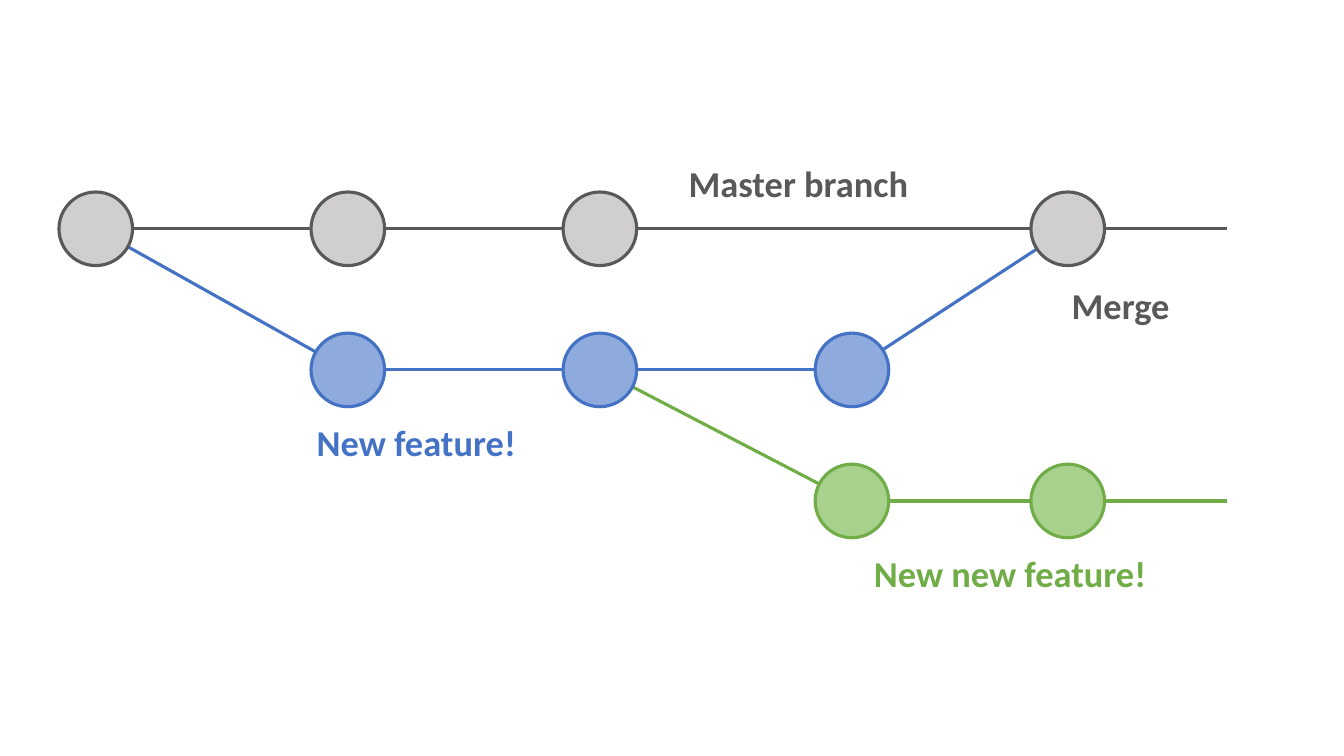
from lxml import etree
from pptx import Presentation
from pptx.dml.color import RGBColor
from pptx.enum import shapes, text
from pptx.oxml.ns import qn
from pptx.util import Inches, Pt

HUES = {
    "master": ("595959", "D0CECE"),
    "feature": ("4472C4", "8FAADC"),
    "newer": ("70AD47", "A9D18E"),
}
COLS = [0.95, 3.45, 5.95, 8.45, 10.59, 12.17]
ROWS = {"master": 2.27, "feature": 3.67, "newer": 4.97}
SIZE = 0.73
COMMITS = {"master": [0, 1, 2, 4], "feature": [1, 2, 3], "newer": [3, 4]}
LINKS = [
    ("feature", (1, "feature"), (3, "feature")),
    ("newer", (2, "feature"), (3, "newer")),
    ("newer", (3, "newer"), (5, "newer")),
    ("feature", (0, "master"), (1, "feature")),
    ("feature", (3, "feature"), (4, "master")),
    ("master", (0, "master"), (5, "master")),
]
LABELS = [
    ("Master branch", "master", 6.55, 1.55, 2.74),
    ("New feature!", "feature", 2.76, 4.12, 2.74),
    ("New new feature!", "newer", 8.09, 5.42, 3.86),
    ("Merge", "master", 10.23, 2.76, 1.77),
]


def spot(col, row):
    return Inches(COLS[col]), Inches(ROWS[row])


def stroke(line, branch):
    line.color.rgb = RGBColor.from_string(HUES[branch][0])
    line.width = Pt(2.25)


def link(slide, branch, start, end):
    wire = slide.shapes.add_connector(
        shapes.MSO_CONNECTOR.STRAIGHT, *spot(*start), *spot(*end))
    stroke(wire.line, branch)
    etree.SubElement(wire._element.spPr, qn("a:effectLst"))


def commit(slide, branch, col):
    x, y = spot(col, branch)
    side = Inches(SIZE)
    dot = slide.shapes.add_shape(
        shapes.MSO_SHAPE.OVAL, x - side // 2, y - side // 2, side, side)
    dot.shadow.inherit = False
    dot.fill.solid()
    dot.fill.fore_color.rgb = RGBColor.from_string(HUES[branch][1])
    stroke(dot.line, branch)


def label(slide, words, branch, x, y, width):
    box = slide.shapes.add_textbox(
        Inches(x), Inches(y), Inches(width), Inches(0.54))
    frame = box.text_frame
    frame.word_wrap = True
    frame.auto_size = text.MSO_AUTO_SIZE.SHAPE_TO_FIT_TEXT
    para = frame.paragraphs[0]
    para.text = words
    para.alignment = text.PP_ALIGN.CENTER
    font = para.font
    font.name, font.size, font.bold = "Calibri", Pt(26), True
    font.color.rgb = RGBColor.from_string(HUES[branch][0])


def main():
    deck = Presentation()
    deck.slide_width, deck.slide_height = Inches(13.33), Inches(7.5)
    slide = deck.slides.add_slide(deck.slide_layouts[6])
    for item in LINKS:
        link(slide, *item)
    for branch, cols in COMMITS.items():
        for col in cols:
            commit(slide, branch, col)
    for item in LABELS:
        label(slide, *item)
    deck.save("out.pptx")


if __name__ == "__main__":
    main()
